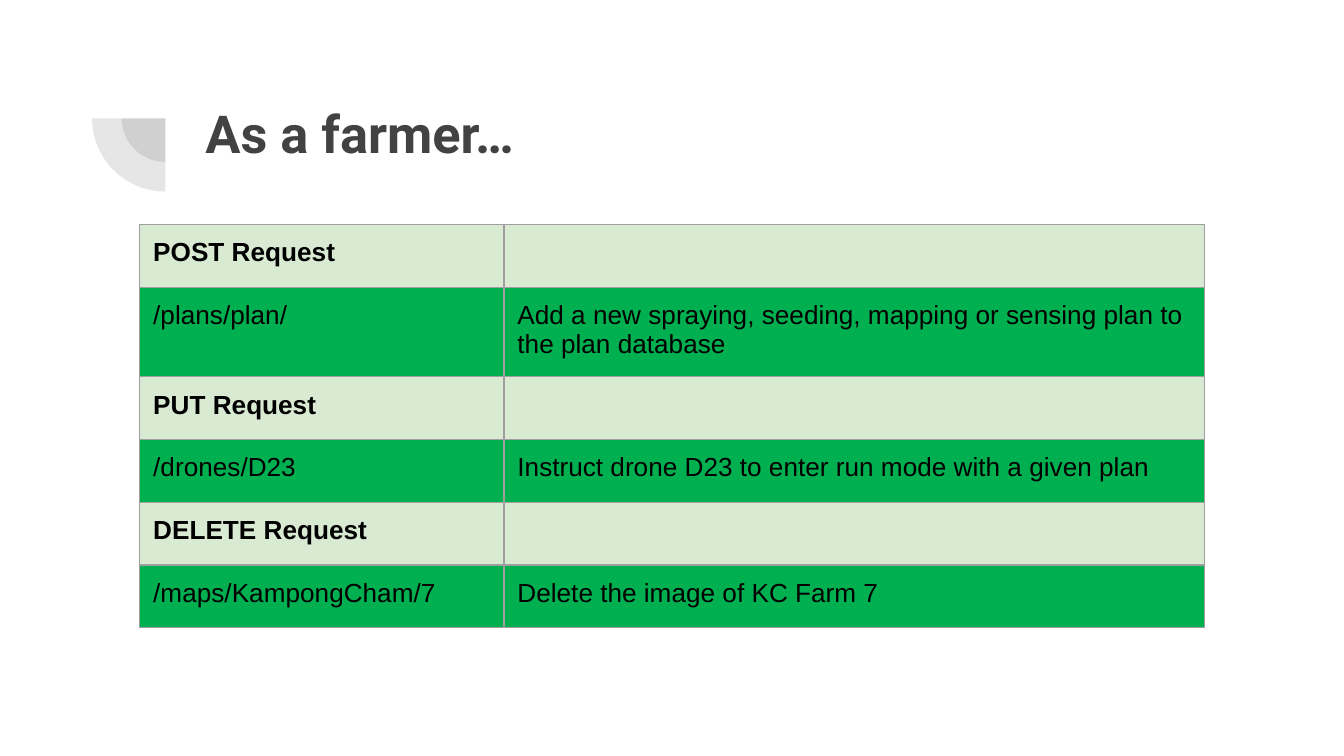
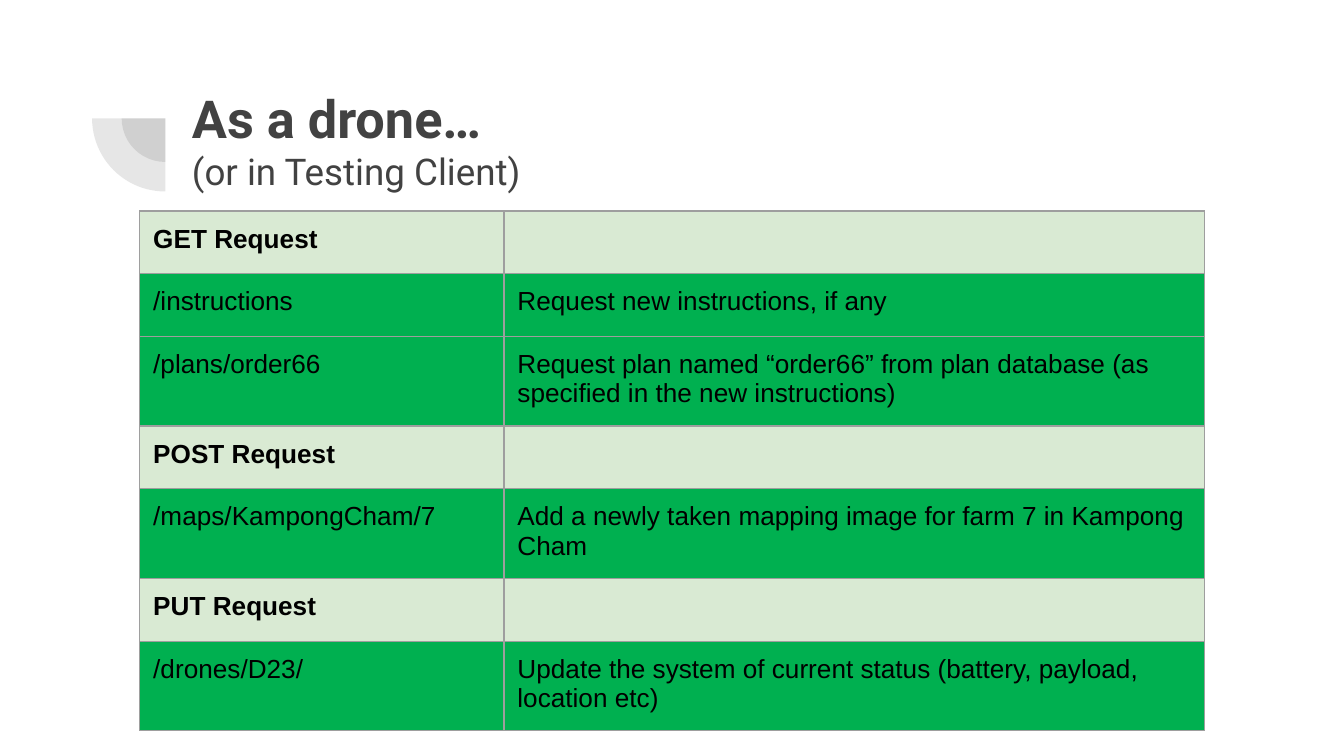
from lxml.etree import SubElement as Sub, Element
from pptx import Presentation
from pptx.dml.color import RGBColor
from pptx.enum.shapes import MSO_SHAPE as Kind
from pptx.oxml.ns import qn
from pptx.util import Inches, Pt

GREY, EDGE, BLACK = "424242", "9E9E9E", "000000"
PALE, GREEN = "D9EAD3", "00B050"
COLS = (2.71, 5.21)
ROW, PAD = 1.4 / 3, 0.1
SIDES = ("lnL", "lnR", "lnT", "lnB")

# A row with no second text is a heading row
FARMER = [
    ("POST Request", ""),
    ("/plans/plan/", "Add a new spraying, seeding, mapping or sensing plan to the plan database"),
    ("PUT Request", ""),
    ("/drones/D23", "Instruct drone D23 to enter run mode with a given plan"),
    ("DELETE Request", ""),
    ("/maps/KampongCham/7", "Delete the image of KC Farm 7"),
]
DRONE = [
    ("GET Request", ""),
    ("/instructions", "Request new instructions, if any"),
    ("/plans/order66", "Request plan named “order66” from plan database (as specified in the new instructions)"),
    ("POST Request", ""),
    ("/maps/KampongCham/7", "Add a newly taken mapping image for farm 7 in Kampong Cham"),
    ("PUT Request", ""),
    ("/drones/D23/", "Update the system of current status (battery, payload, location etc)"),
]


def paint(fill, color):
    fill.solid()
    fill.fore_color.rgb = RGBColor.from_string(color)


def style(par, face, size, color, bold):
    font = par.font
    font.name, font.size, font.bold = face, Pt(size), bold
    font.color.rgb = RGBColor.from_string(color)


def inset(box):
    box.margin_left = box.margin_right = Inches(PAD)
    box.margin_top = box.margin_bottom = Inches(PAD)


# Two quarter discs around one centre
def draw_mark(slide, x, y):
    group = slide.shapes.add_group_shape()
    for size in (0.65, 1.09):
        pie = group.shapes.add_shape(
            Kind.PIE, Inches(x - size / 2), Inches(y - size / 2),
            Inches(size), Inches(size))
        pie.adjustments[0], pie.adjustments[1] = 107.928, 162
        pie.rotation = 270
        pie.shadow.inherit = False
        pie.line.fill.background()
        paint(pie.fill, GREY)
        tint = pie.fill._xPr.find(qn("a:solidFill"))[0]
        Sub(tint, qn("a:alpha"), val="13000")


# Bold title with an optional lighter second line
def draw_title(slide, x, y, title, note):
    box = slide.shapes.add_textbox(Inches(x), Inches(y), Inches(7.69), Inches(1.09))
    frame = box.text_frame
    frame.word_wrap = True
    inset(frame)
    frame.text = title
    style(frame.paragraphs[0], "Roboto", 28, GREY, True)
    if note:
        par = frame.add_paragraph()
        par.text = note
        style(par, "Roboto", 19.7, GREY, False)


def draw_edges(cell):
    props = cell._tc.get_or_add_tcPr()
    for spot, side in enumerate(SIDES):
        line = Element(qn("a:" + side), w=str(Pt(0.75)))
        Sub(Sub(line, qn("a:solidFill")), qn("a:srgbClr"), val=EDGE)
        props.insert(spot, line)


# Table of requests; rows with two lines of text grow by themselves
def draw_table(slide, x, y, rows):
    table = slide.shapes.add_table(
        len(rows), len(COLS), Inches(x), Inches(y),
        Inches(sum(COLS)), Inches(ROW * len(rows))).table
    table.first_row = table.horz_banding = False
    for col, width in zip(table.columns, COLS):
        col.width = Inches(width)
    for line, texts in zip(table.rows, rows):
        line.height = Inches(ROW)
        head = not texts[1]
        for cell, text in zip(line.cells, texts):
            inset(cell)
            paint(cell.fill, PALE if head else GREEN)
            draw_edges(cell)
            cell.text = text
            par = cell.text_frame.paragraphs[0]
            style(par, "Arial", 14, BLACK, head)
            # The paragraph mark also counts towards the row height
            Sub(par._p, qn("a:endParaRPr"), sz="1400")


def add_page(deck, spot, top, title, note, rows):
    slide = deck.slides.add_slide(deck.slide_layouts[6])
    paint(slide.background.fill, "FFFFFF")
    draw_mark(slide, 1.23, 0.88)
    draw_title(slide, *spot, title, note)
    draw_table(slide, 1.04, top, rows)


def main():
    deck = Presentation()
    deck.slide_width = Inches(10)
    deck.slide_height = deck.slide_width * 9 // 16
    add_page(deck, (1.43, 0.65), 1.67, "As a farmer…", "", FARMER)
    add_page(deck, (1.33, 0.54), 1.57, "As a drone…", "(or in Testing Client)", DRONE)
    deck.save("out.pptx")


if __name__ == "__main__":
    main()
